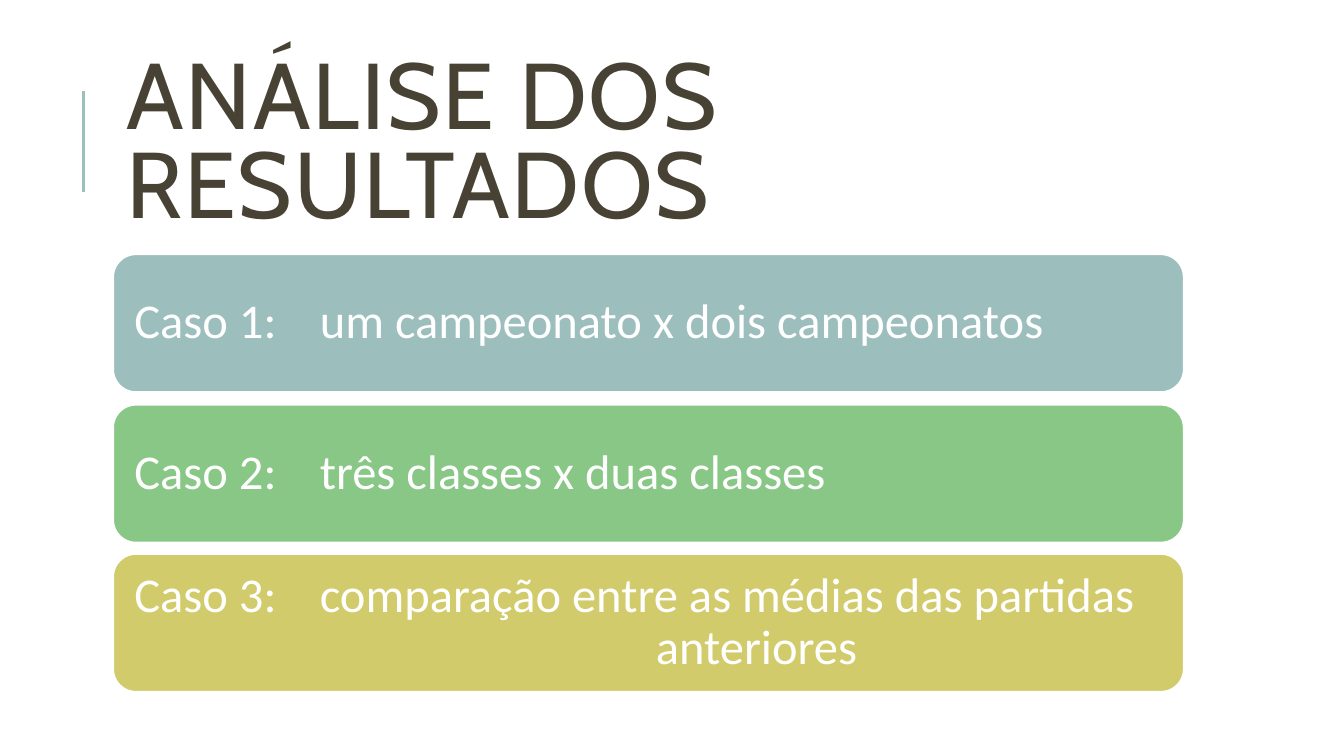
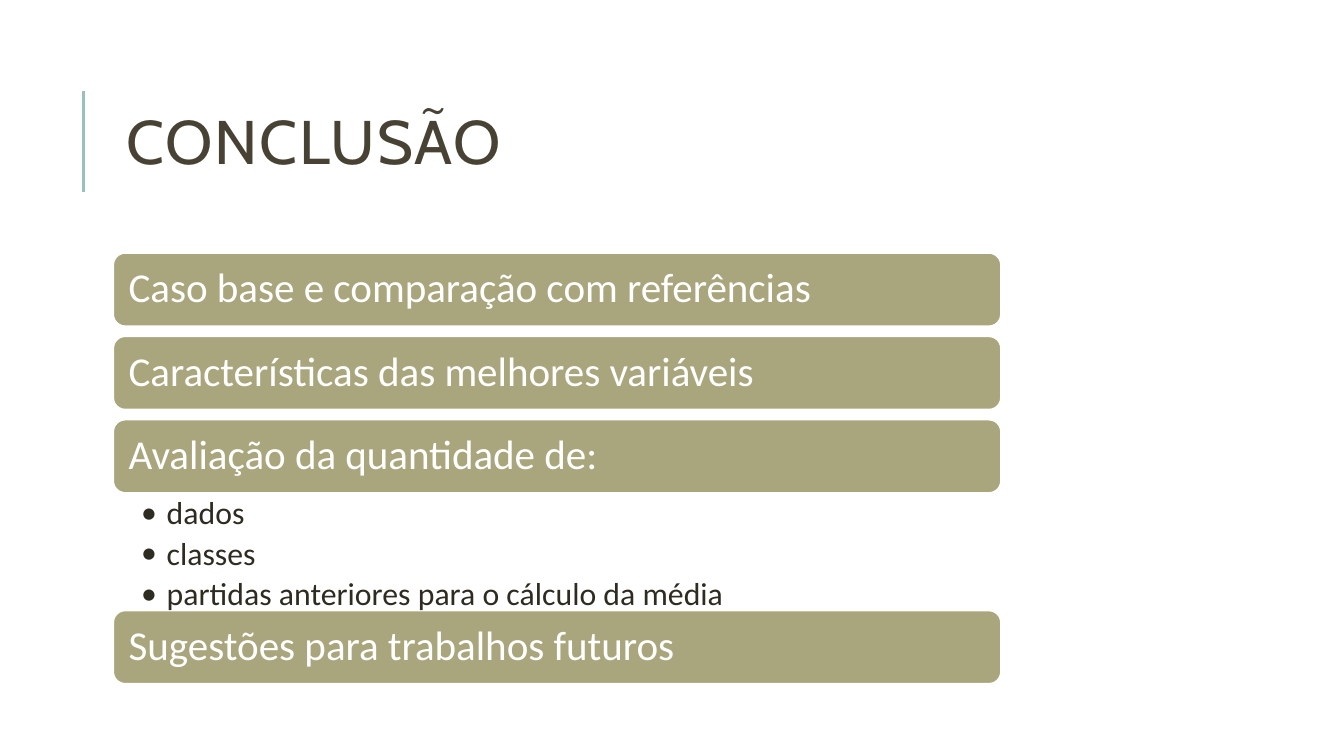
from dataclasses import dataclass

from pptx import Presentation
from pptx import util as u
from pptx.dml.color import RGBColor
from pptx.enum import shapes, text
from pptx.oxml import xmlchemy

TEAL = RGBColor(0x9C, 0xBE, 0xBD)
GREEN = RGBColor(0x88, 0xC7, 0x85)
MUSTARD = RGBColor(0xD2, 0xCB, 0x6C)
OLIVE = RGBColor(0xA9, 0xA5, 0x7C)
BROWN = RGBColor(0x47, 0x42, 0x33)
DARK = RGBColor(0x2E, 0x2B, 0x21)
WHITE = RGBColor(0xFF, 0xFF, 0xFF)

TITLE_FONT, BODY_FONT = "Cabin", "Calibri"
LEFT = 0.84
TITLE_ONLY = 5
CASE_TABS = (1.38, 3.88)


@dataclass(frozen=True)
class BandStyle:
    width: float
    height: float
    size: float
    inset: float


@dataclass(frozen=True)
class Case:
    words: str
    top: float
    fill: RGBColor


@dataclass(frozen=True)
class Topic:
    words: str
    top: float


CASE_BAND = BandStyle(7.97, 1.03, 26, 0.11)
TOPIC_BAND = BandStyle(6.61, 0.55, 22, 0.09)

CASES = (
    Case("Caso 1:\tum campeonato x dois campeonatos", 1.89, TEAL),
    Case("Caso 2:\ttrês classes x duas classes", 3.01, GREEN),
    Case("Caso 3:\tcomparação entre as médias das partidas\n\t\tanteriores", 4.12, MUSTARD),
)
TOPICS = (
    Topic("Caso base e comparação com referências", 1.88),
    Topic("Características das melhores variáveis", 2.5),
    Topic("Avaliação da quantidade de:", 3.12),
    Topic("Sugestões para trabalhos futuros", 4.54),
)
QUANTITIES = ("dados", "classes", "partidas anteriores para o cálculo da média")


def add_span(para, words: str, font: str, size: float, colour: RGBColor):
    span = para.add_run()
    span.text = words
    span.font.name = font
    span.font.size = u.Pt(size)
    span.font.color.rgb = colour
    return span


def set_frame(frame, anchor, left: float, top: float, right: float) -> None:
    frame.word_wrap = True
    frame.auto_size = text.MSO_AUTO_SIZE.NONE
    frame.vertical_anchor = anchor
    frame.margin_left, frame.margin_right = u.Inches(left), u.Inches(right)
    frame.margin_top = frame.margin_bottom = u.Inches(top)


def place(box, left: float, top: float, width: float, height: float) -> None:
    box.left, box.top = u.Inches(left), u.Inches(top)
    box.width, box.height = u.Inches(width), u.Inches(height)


def append_property(parent, tag: str, **attributes):
    child = xmlchemy.OxmlElement(tag)
    for name, value in attributes.items():
        child.set(name, str(value))
    parent.append(child)
    return child


def add_titled_page(deck, title: str, width: float, size: float):
    """Add a page with its title and the thin rule to the left of it."""
    page = deck.slides.add_slide(deck.slide_layouts[TITLE_ONLY])
    rule = page.shapes.add_connector(
        shapes.MSO_CONNECTOR.STRAIGHT,
        u.Inches(0.62), u.Inches(1.43), u.Inches(0.62), u.Inches(0.68),
    )
    rule.line.color.rgb = TEAL
    rule.line.width = u.Pt(1.5)
    append_property(rule._element.spPr, "a:effectLst")

    box = page.shapes.title
    place(box, LEFT, 0.48, width, 1.23)
    set_frame(box.text_frame, text.MSO_ANCHOR.MIDDLE, 0.1, 0.05, 0.1)
    para = box.text_frame.paragraphs[0]
    para.alignment = text.PP_ALIGN.LEFT
    para.line_spacing = 0.8
    span = add_span(para, title, TITLE_FONT, size, BROWN)
    span.font._element.set("spc", "100")
    return page


def add_band(page, style: BandStyle, words: str, top: float, fill: RGBColor):
    """Add a rounded band with its text and return its paragraph."""
    band = page.shapes.add_shape(
        shapes.MSO_SHAPE.ROUNDED_RECTANGLE,
        u.Inches(LEFT), u.Inches(top), u.Inches(style.width), u.Inches(style.height),
    )
    band.shadow.inherit = False
    band.fill.solid()
    band.fill.fore_color.rgb = fill
    band.line.color.rgb = WHITE
    band.line.width = u.Pt(1.25)
    frame = band.text_frame
    set_frame(frame, text.MSO_ANCHOR.MIDDLE, style.inset, style.inset, style.inset)
    para = frame.paragraphs[0]
    para.alignment = text.PP_ALIGN.LEFT
    para.line_spacing = 0.9
    for index, line in enumerate(words.split("\n")):
        if index:
            para.add_line_break()
        add_span(para, line, BODY_FONT, style.size, WHITE)
    return para


def add_tab_stops(para, stops: tuple[float, ...]) -> None:
    tabs = append_property(para._p.get_or_add_pPr(), "a:tabLst")
    for stop in stops:
        append_property(tabs, "a:tab", pos=u.Inches(stop), algn="l")


def add_bullets(page, items: tuple[str, ...], top: float) -> None:
    box = page.shapes.add_textbox(
        u.Inches(LEFT), u.Inches(top), u.Inches(TOPIC_BAND.width), u.Inches(0.87)
    )
    frame = box.text_frame
    set_frame(frame, text.MSO_ANCHOR.TOP, 0.21, 0.03, 0.17)
    for index, item in enumerate(items):
        para = frame.add_paragraph() if index else frame.paragraphs[0]
        para.level = 1
        para.line_spacing = 0.9
        para.space_after = u.Pt(3.4)
        properties = para._p.get_or_add_pPr()
        properties.set("marL", str(u.Inches(0.19)))
        properties.set("indent", str(u.Inches(-0.19)))
        append_property(properties, "a:buFont", typeface=BODY_FONT)
        append_property(properties, "a:buChar", char="•")
        add_span(para, item, BODY_FONT, 17, DARK)


def build_results(deck) -> None:
    page = add_titled_page(deck, "ANÁLISE DOS RESULTADOS", 7.97, 50)
    for case in CASES:
        para = add_band(page, CASE_BAND, case.words, case.top, case.fill)
        add_tab_stops(para, CASE_TABS)


def build_conclusion(deck) -> None:
    page = add_titled_page(deck, "CONCLUSÃO", 3.63, 33)
    for topic in TOPICS:
        add_band(page, TOPIC_BAND, topic.words, topic.top, OLIVE)
    add_bullets(page, QUANTITIES, 3.67)


def main() -> None:
    deck = Presentation()
    deck.slide_width = u.Inches(10)
    deck.slide_height = deck.slide_width * 9 // 16
    build_results(deck)
    build_conclusion(deck)
    deck.save("out.pptx")


if __name__ == "__main__":
    main()
